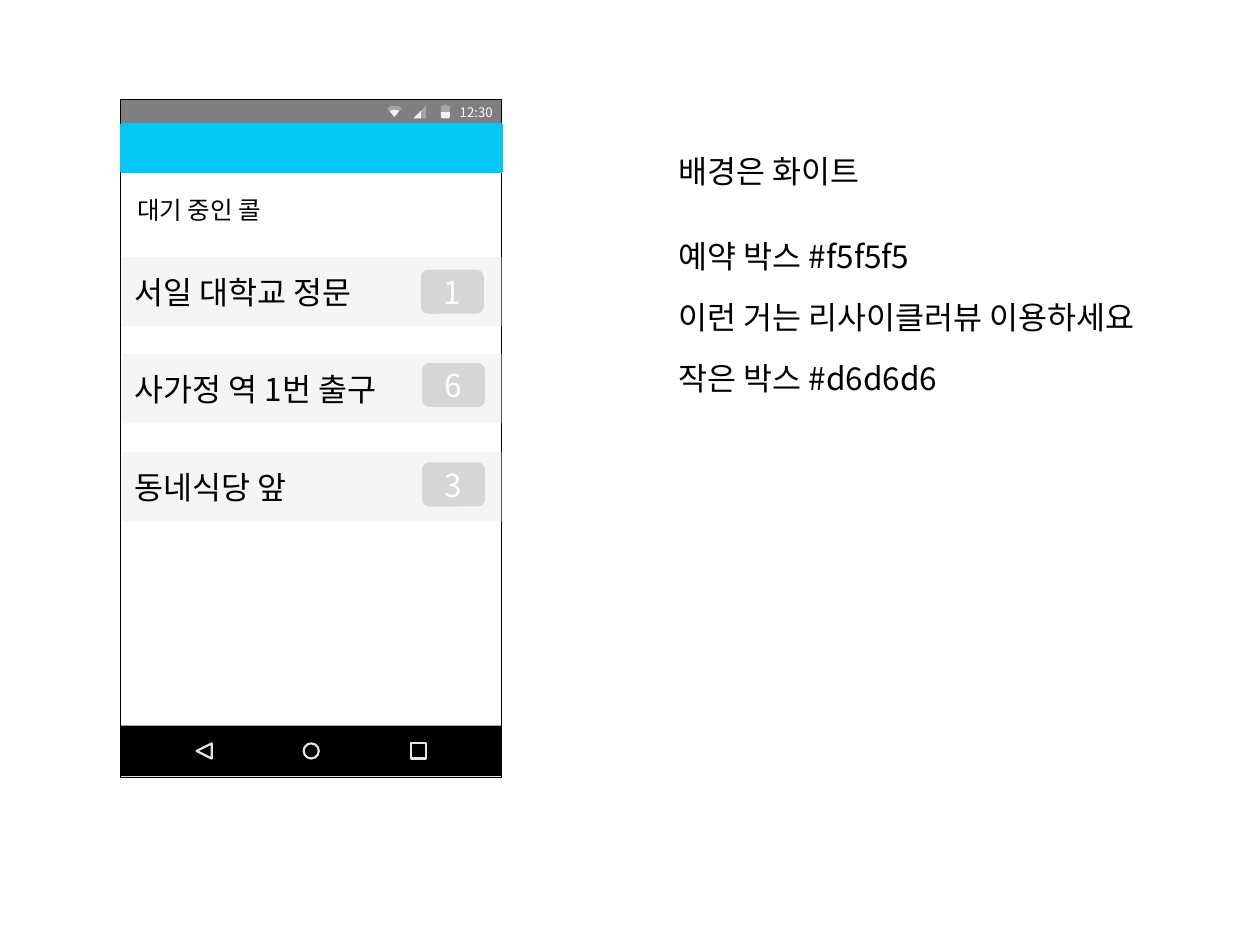
import lxml.etree
import pptx
import pptx.dml.color
import pptx.enum.shapes
import pptx.enum.text
import pptx.oxml.ns
import pptx.util

Inches = pptx.util.Inches
SHAPES = pptx.enum.shapes.MSO_SHAPE
ALIGN = pptx.enum.text.PP_ALIGN
ANCHOR = pptx.enum.text.MSO_ANCHOR
qn = pptx.oxml.ns.qn

THEME = {
    "font": "Noto Sans CJK KR",
    "black": "000000", "white": "FFFFFF", "nav": "E6E6E6",
    "bar": "05C7F5", "row": "F5F5F5", "badge": "D6D6D6",
    "body": 18, "heading": 14, "clock": 7.5,
}

# Content
CLOCK = "12:30"
HEADING = "대기 중인 콜"
CALLS = [  # stop, waiting calls, row top, badge left, badge top
    ("서일 대학교 정문", "1", 2.04, 3.34, 2.14),
    ("사가정 역 1번 출구", "6", 2.81, 3.35, 2.88),
    ("동네식당 앞", "3", 3.59, 3.35, 3.67),
]
NOTES = [  # text, top, width, height
    ("배경은 화이트", 1.16, 1.81, 0.71),
    ("예약 박스 #f5f5f5", 1.83, 2.2, 0.4),
    ("이런 거는 리사이클러뷰 이용하세요", 2.32, 4.26, 0.4),
    ("작은 박스 #d6d6d6", 2.8, 2.42, 0.4),
]
STATUS_ICONS = [  # opacity, outline
    (30, [(3.5, 0.89), (3.5, 0.84), (3.52, 0.84), (3.52, 0.83), (3.55, 0.83),
          (3.55, 0.84), (3.57, 0.84), (3.57, 0.89)]),  # battery, empty part
    (90, [(3.5, 0.89), (3.57, 0.89), (3.57, 0.93), (3.56, 0.94),
          (3.51, 0.94), (3.5, 0.93)]),  # battery, full part
    (30, [(3.38, 0.84), (3.34, 0.88), (3.34, 0.94), (3.38, 0.94)]),  # signal
    (90, [(3.28, 0.94), (3.34, 0.94), (3.34, 0.88)]),
    (30, [(3.07, 0.86), (3.1, 0.84), (3.13, 0.84), (3.16, 0.84), (3.19, 0.86),
          (3.17, 0.88), (3.13, 0.87), (3.09, 0.88)]),  # wifi
    (90, [(3.09, 0.88), (3.13, 0.87), (3.17, 0.88), (3.13, 0.93)]),
]
NAV_ICONS = [  # preset, centre, rotation
    (SHAPES.ISOSCELES_TRIANGLE, 1.62, 270),
    (SHAPES.OVAL, 2.47, 0),
    (SHAPES.RECTANGLE, 3.32, 0),
]
PHONE_LEFT, PHONE_WIDTH = 0.96, 3.02
ROW_LEFT, ROW_WIDTH, ROW_HEIGHT = 0.97, 3.01, 0.55
NAV_TOP, NAV_HEIGHT, NAV_ICON = 5.76, 0.4, 0.12


def color(name):
    return pptx.dml.color.RGBColor.from_string(THEME[name])


def paint(shape, fill=None, line=None, line_width=1, opacity=100):
    shape.shadow.inherit = False
    if fill:
        shape.fill.solid()
        shape.fill.fore_color.rgb = color(fill)
        if opacity < 100:
            fill_color = shape.fill._xPr.find(qn("a:solidFill"))[0]
            alpha = lxml.etree.SubElement(fill_color, qn("a:alpha"))
            alpha.set("val", str(opacity * 1000))
    else:
        shape.fill.background()
    if line:
        shape.line.color.rgb = color(line)
        shape.line.width = pptx.util.Pt(line_width)
    else:
        shape.line.fill.background()
    return shape


def box(slide, preset, left, top, width, height, **look):
    bounds = [Inches(value) for value in (left, top, width, height)]
    return paint(slide.shapes.add_shape(preset, *bounds), **look)


def write(shape, text, size="body", ink="black", align=ALIGN.LEFT, anchor=ANCHOR.MIDDLE):
    frame = shape.text_frame
    frame.text = text
    frame.word_wrap = True
    frame.vertical_anchor = anchor
    paragraph = frame.paragraphs[0]
    paragraph.alignment = align
    for run in paragraph.runs:
        run.font.size = pptx.util.Pt(THEME[size])
        run.font.color.rgb = color(ink)
        run.font.name = THEME["font"]
        east_asian = lxml.etree.SubElement(run.font._element, qn("a:ea"))
        east_asian.set("typeface", THEME["font"])


def label(slide, text, left, top, width, height, size="body"):
    bounds = [Inches(value) for value in (left, top, width, height)]
    write(slide.shapes.add_textbox(*bounds), text, size, anchor=ANCHOR.TOP)


def draw_phone(slide):
    # Screen and status bar
    box(slide, SHAPES.RECTANGLE, PHONE_LEFT, 0.79, PHONE_WIDTH, 5.38,
        fill="white", line="black", line_width=0.5)
    box(slide, SHAPES.RECTANGLE, PHONE_LEFT, 0.79, PHONE_WIDTH, 0.2,
        fill="black", opacity=50)
    clock = box(slide, SHAPES.RECTANGLE, 3.6, 0.79, 0.36, 0.2)
    write(clock, CLOCK, "clock", "white", ALIGN.CENTER)
    clock.text_frame.margin_left = clock.text_frame.margin_right = 0
    clock.text_frame.margin_top = clock.text_frame.margin_bottom = 0
    for opacity, outline in STATUS_ICONS:
        points = [(Inches(x), Inches(y)) for x, y in outline]
        builder = slide.shapes.build_freeform(*points[0])
        builder.add_line_segments(points[1:], close=True)
        paint(builder.convert_to_shape(), fill="white", opacity=opacity)

    # Navigation bar
    box(slide, SHAPES.RECTANGLE, PHONE_LEFT, NAV_TOP, PHONE_WIDTH, NAV_HEIGHT, fill="black")
    icon_top = NAV_TOP + (NAV_HEIGHT - NAV_ICON) / 2
    for preset, centre, rotation in NAV_ICONS:
        icon = box(slide, preset, centre - NAV_ICON / 2, icon_top, NAV_ICON, NAV_ICON,
                   line="nav", line_width=1.25)
        icon.rotation = rotation

    # App bar
    box(slide, SHAPES.RECTANGLE, ROW_LEFT, 0.99, ROW_WIDTH, 0.37,
        fill="bar", line="bar", line_width=2)


def draw_calls(slide):
    label(slide, HEADING, 0.99, 1.5, 1.77, 0.34, "heading")
    for stop, waiting, row_top, badge_left, badge_top in CALLS:
        row = box(slide, SHAPES.RECTANGLE, ROW_LEFT, row_top, ROW_WIDTH, ROW_HEIGHT, fill="row")
        write(row, stop)
        badge = box(slide, SHAPES.ROUNDED_RECTANGLE, badge_left, badge_top, 0.5, 0.35,
                    fill="badge")
        write(badge, waiting, ink="white", align=ALIGN.CENTER)


def main():
    deck = pptx.Presentation()
    deck.slide_width, deck.slide_height = Inches(10), Inches(7.5)
    slide = deck.slides.add_slide(deck.slide_layouts[6])
    draw_phone(slide)
    draw_calls(slide)
    # Design notes
    for text, top, width, height in NOTES:
        label(slide, text, 5.29, top, width, height)
    deck.save("out.pptx")


if __name__ == "__main__":
    main()
